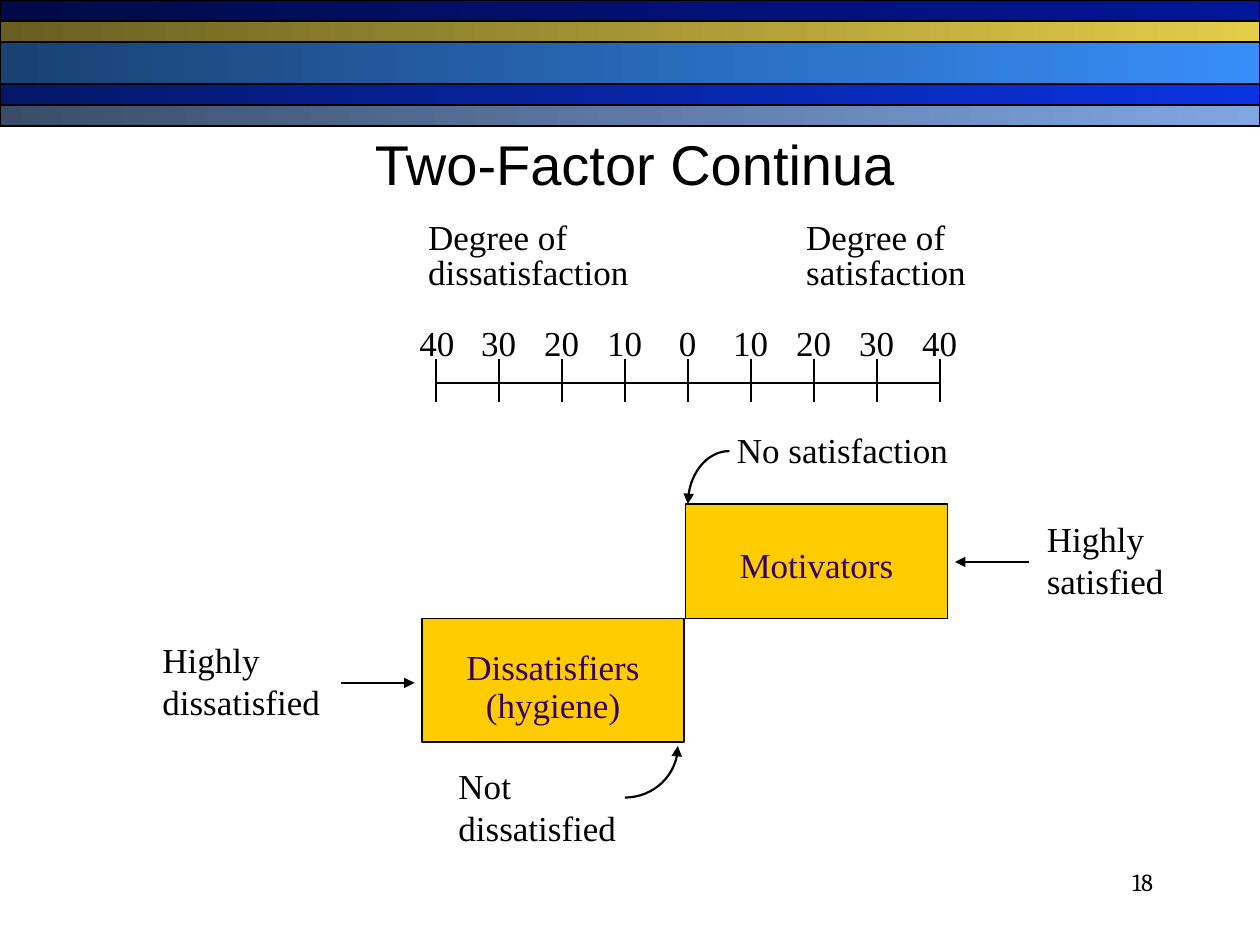
"""Build the Two-Factor Continua slide."""
from math import cos, pi, sin

from lxml import etree
from pptx import Presentation
from pptx.dml.color import RGBColor
from pptx.enum.shapes import MSO_CONNECTOR, MSO_SHAPE
from pptx.enum.text import MSO_ANCHOR, PP_ALIGN
from pptx.oxml.ns import qn
from pptx.util import Inches, Pt

LEFT, MID, RIGHT = PP_ALIGN.LEFT, PP_ALIGN.CENTER, PP_ALIGN.RIGHT
TOP, CENTER = MSO_ANCHOR.TOP, MSO_ANCHOR.MIDDLE
RECT, STRAIGHT = MSO_SHAPE.RECTANGLE, MSO_CONNECTOR.STRAIGHT
BLACK = RGBColor(0x00, 0x00, 0x00)
GOLD = RGBColor(0xFF, 0xCC, 0x00)
PURPLE = RGBColor(0x33, 0x00, 0x66)
SERIF = "Times New Roman"
SHADE = 0.46
UNIT = 1 / 6

BANDS = [
    (1, RGBColor(0x02, 0x16, 0x99)),
    (1, RGBColor(0xE3, 0xCD, 0x49)),
    (2, RGBColor(0x37, 0x8E, 0xF8)),
    (1, RGBColor(0x0A, 0x33, 0xE3)),
    (1, RGBColor(0x80, 0xA6, 0xE3)),
]
HEADS = ["Degree of\tDegree of", "dissatisfaction\tsatisfaction"]
MARKS = ["40", "30", "20", "10", "0", "10", "20", "30", "40"]
BOXES = [
    ((5.44, 4, 2.08, 0.91), ["Motivators"], [1.8]),
    ((3.35, 4.91, 2.08, 0.98), ["Dissatisfiers", "(hygiene)"], [1.5, 0.9]),
]
NOTES = [
    ((1.19, 5.02, 1.75, 0.77), "Highly dissatisfied"),
    ((8.21, 4.06, 1.75, 0.77), "Highly satisfied"),
    ((3.54, 6.02, 1.75, 0.77), "Not dissatisfied"),
    ((5.75, 3.35, 2.17, 0.43), "No satisfaction"),
]
ARROWS = [((2.71, 5.42), (3.29, 5.42)), ((8.17, 4.46), (7.58, 4.46))]
CURVES = [((5.79, 3.58), (5.46, 4)), ((4.96, 6.33), (5.38, 5.92))]
AXIS, START, STEP = 3.04, 3.46, 0.5
SCALE = (3.23, 1.71, 5.9, 1.23)


def write(shape, lines, size=20, font=SERIF, color=BLACK, align=LEFT,
          anchor=TOP, gaps=(1,)):
    frame = shape.text_frame
    frame.word_wrap = True
    frame.vertical_anchor = anchor
    frame.text = "\n".join(lines)
    for i, par in enumerate(frame.paragraphs):
        par.alignment = align
        par.line_spacing = float(gaps[min(i, len(gaps) - 1)])
        for run in par.runs:
            run.font.size = Pt(size)
            run.font.name = font
            run.font.color.rgb = color
    return frame


def label(slide, box, lines, **style):
    shape = slide.shapes.add_textbox(*map(Inches, box))
    return write(shape, lines, **style)


def block(slide, box):
    shape = slide.shapes.add_shape(RECT, *map(Inches, box))
    shape.shadow.inherit = False
    shape.line.color.rgb = BLACK
    shape.line.width = Pt(0.75)
    return shape


def set_tabs(par, stops, align):
    tabs = etree.SubElement(par._p.get_or_add_pPr(), qn("a:tabLst"))
    for stop in stops:
        etree.SubElement(tabs, qn("a:tab"), pos=str(Inches(stop)), algn=align)


def add_tip(shape):
    line = shape.line._get_or_add_ln()
    etree.SubElement(line, qn("a:tailEnd"), type="triangle")


def rule(slide, start, end, width=0.75):
    line = slide.shapes.add_connector(STRAIGHT, *map(Inches, start + end))
    line.line.color.rgb = BLACK
    line.line.width = Pt(width)
    etree.SubElement(line._element.spPr, qn("a:effectLst"))
    return line


def curve(slide, start, end, steps=16):
    (x, y), (u, v) = start, end
    turns = [pi / 2 * i / steps for i in range(steps + 1)]
    dots = [(Inches(x + (u - x) * sin(t)), Inches(v + (y - v) * cos(t)))
            for t in turns]
    path = slide.shapes.build_freeform(*dots[0])
    path.add_line_segments(dots[1:], close=False)
    shape = path.convert_to_shape()
    shape.shadow.inherit = False
    shape.fill.background()
    shape.line.color.rgb = BLACK
    shape.line.width = Pt(1.25)
    add_tip(shape)


def draw_bands(slide):
    top = 0
    for size, color in BANDS:
        band = block(slide, (0, top, 10, size * UNIT))
        band.fill.gradient()
        band.fill.gradient_angle = 0
        dark = RGBColor(*(int(part * SHADE) for part in color))
        for stop, tone, spot in zip(band.fill.gradient_stops,
                                    (dark, color), (0, 1)):
            stop.color.rgb = tone
            stop.position = spot
        top += size * UNIT


def draw_scale(slide):
    ticks = [START + STEP * i for i in range(len(MARKS))]
    rule(slide, (ticks[0], AXIS), (ticks[-1], AXIS))
    for x in ticks:
        rule(slide, (x, 2.85), (x, 3.19))
    frame = label(slide, SCALE, HEADS + ["\t".join(MARKS)], gaps=[0.85])
    *heads, marks = frame.paragraphs
    for par in heads:
        par._p.get_or_add_pPr().set("marL", str(Inches(0.07)))
        set_tabs(par, [3], "l")
    marks.space_before = Pt(20)
    set_tabs(marks, [x - SCALE[0] - 0.1 for x in ticks[1:]], "ctr")


def main():
    deck = Presentation()
    deck.slide_width, deck.slide_height = Inches(10), Inches(7.5)
    slide = deck.slides.add_slide(deck.slide_layouts[6])
    draw_bands(slide)
    label(slide, (7.17, 6.83, 2.08, 0.5), ["18"], size=14, font="Cambria",
          align=RIGHT)
    label(slide, (0.83, 0.67, 8.42, 1.25), ["Two-Factor Continua"], size=32,
          font="Arial", align=MID, anchor=CENTER)
    draw_scale(slide)
    for box, lines, gaps in BOXES:
        shape = block(slide, box)
        shape.fill.solid()
        shape.fill.fore_color.rgb = GOLD
        write(shape, lines, color=PURPLE, align=MID, gaps=gaps)
    for box, text in NOTES:
        label(slide, box, [text])
    for start, end in ARROWS:
        add_tip(rule(slide, start, end, 1.25))
    for start, end in CURVES:
        curve(slide, start, end)
    deck.save("out.pptx")


if __name__ == "__main__":
    main()
